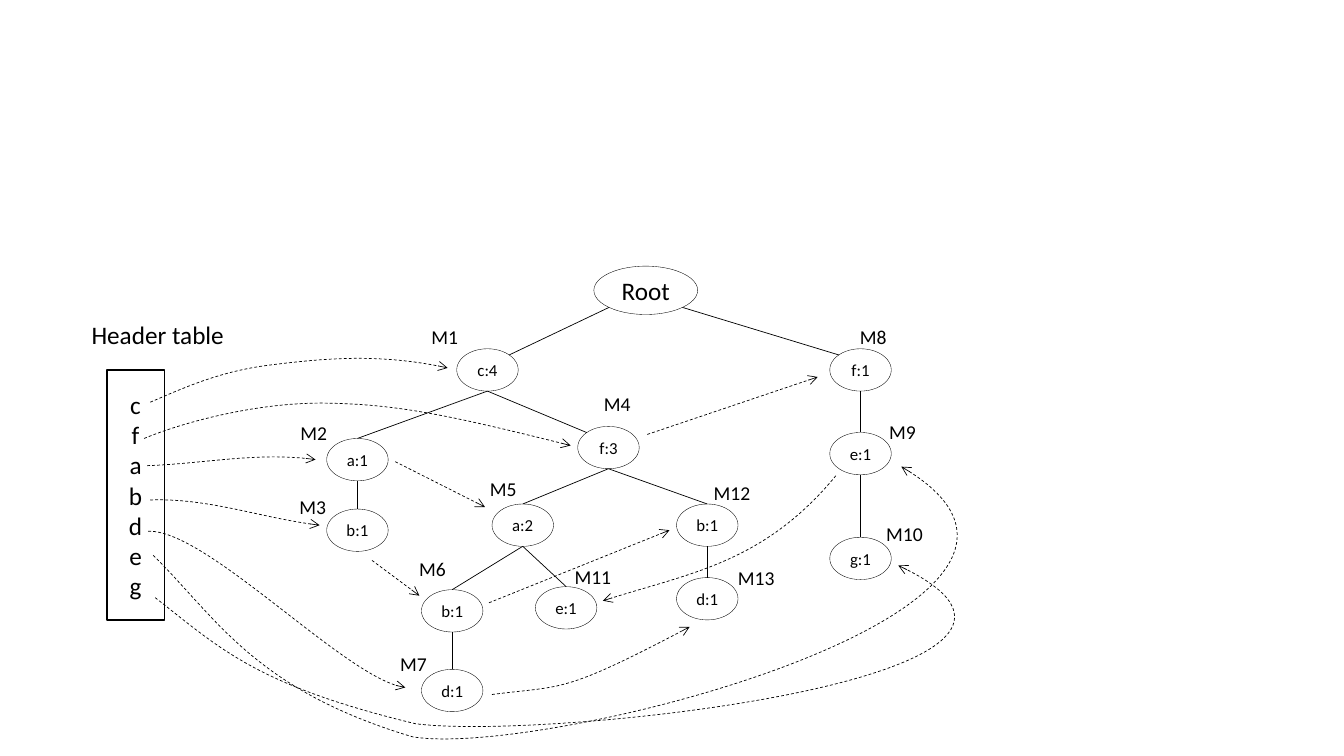
from math import cos, radians, sin

from lxml import etree
from pptx import Presentation
from pptx.dml.color import RGBColor
from pptx.enum.dml import MSO_LINE
from pptx.enum.shapes import MSO_CONNECTOR, MSO_SHAPE
from pptx.enum.text import MSO_ANCHOR, MSO_AUTO_SIZE, PP_ALIGN
from pptx.oxml.ns import qn
from pptx.util import Inches, Pt

ELLIPSE, RECTANGLE = MSO_SHAPE.OVAL, MSO_SHAPE.RECTANGLE
STRAIGHT, DASH = MSO_CONNECTOR.STRAIGHT, MSO_LINE.DASH
MIDDLE, CENTER, LEFT = MSO_ANCHOR.MIDDLE, PP_ALIGN.CENTER, PP_ALIGN.LEFT
FIT_SHAPE = MSO_AUTO_SIZE.SHAPE_TO_FIT_TEXT

COLORS = {"ink": "000000", "paper": "FFFFFF"}
FONT = "Calibri"
NODE_W, NODE_H = 0.61, 0.42
ROOT = (5.89, 2.64, 1.03, 0.48)
HEADER_ITEMS = "cfabdeg"

# Label: item and count, node left and top, label left and top
NODES = {
    "M1": ("c:4", 4.53, 3.46, 4.18, 3.17),
    "M2": ("a:1", 3.24, 4.35, 2.88, 4.13),
    "M3": ("b:1", 3.24, 5.05, 2.87, 4.86),
    "M4": ("f:3", 5.73, 4.23, 5.89, 3.84),
    "M5": ("a:2", 4.88, 5.00, 4.76, 4.68),
    "M6": ("b:1", 4.18, 5.85, 4.06, 5.48),
    "M7": ("d:1", 4.18, 6.64, 3.87, 6.42),
    "M8": ("f:1", 8.23, 3.46, 8.43, 3.17),
    "M9": ("e:1", 8.23, 4.29, 8.72, 4.12),
    "M10": ("g:1", 8.23, 5.33, 8.69, 5.13),
    "M11": ("e:1", 5.31, 5.82, 5.60, 5.56),
    "M12": ("b:1", 6.71, 5.00, 6.98, 4.72),
    "M13": ("d:1", 6.71, 5.73, 7.22, 5.57),
}

# Parent, child, and the angles (clockwise from the right) where the edge meets them
BOTTOM, TOP = 90, 270
EDGES = [
    ("Root", "M1", 135, 315), ("Root", "M8", 45, 225),
    ("M1", "M2", BOTTOM, TOP), ("M1", "M4", BOTTOM, 225),
    ("M2", "M3", BOTTOM, TOP), ("M4", "M5", BOTTOM, TOP),
    ("M4", "M12", BOTTOM, TOP), ("M5", "M6", BOTTOM, TOP),
    ("M5", "M11", BOTTOM, TOP), ("M6", "M7", BOTTOM, TOP),
    ("M12", "M13", BOTTOM, TOP), ("M8", "M9", BOTTOM, TOP),
    ("M9", "M10", BOTTOM, TOP),
]

# Two points make a straight link; otherwise a start and triples of Bezier points
LINKS = [
    [(1.49, 3.99), (1.84, 3.84), (2.19, 3.68), (2.69, 3.62),
     (3.18, 3.56), (3.76, 3.5), (4.44, 3.65)],
    [(1.43, 4.35), (1.79, 4.2), (2.53, 3.99), (3.23, 4),
     (3.93, 4.01), (4.46, 4.12), (5.66, 4.42)],
    [(6.42, 4.31), (8.11, 3.74)],
    [(1.46, 4.62), (2.02, 4.6), (2.56, 4.48), (3.13, 4.56)],
    [(3.69, 5.56), (4.16, 5.91)],
    [(1.49, 4.96), (2.05, 4.94), (2.59, 5.14), (3.17, 5.21)],
    [(3.92, 4.58), (4.81, 5.03)],
    [(4.85, 5.98), (6.64, 5.26)],
    [(1.47, 5.27), (2.03, 5.25), (3.45, 6.75), (4.02, 6.82)],
    [(4.88, 6.89), (5.58, 6.8), (5.57, 6.89), (6.84, 6.22)],
    [(1.52, 5.51), (2.15, 6.13), (2.52, 6.84), (4.09, 7.31),
     (5.38, 7.53), (11.31, 6.01), (8.94, 4.63)],
    [(8.29, 4.72), (7.59, 5.57), (6.82, 5.69), (5.98, 5.96)],
    [(1.54, 5.93), (2.18, 6.43), (2.54, 6.8), (4.12, 7.18),
     (5.41, 7.35), (11.28, 6.72), (8.91, 5.61)],
]


def rgb(name):
    return RGBColor.from_string(COLORS[name])


def write(tf, lines, size, align, frame_format):
    for name, value in frame_format.items():
        setattr(tf, name, value)
    for i, line in enumerate(lines):
        p = tf.paragraphs[0] if i == 0 else tf.add_paragraph()
        p.alignment = align
        r = p.add_run()
        r.text = line
        for name, value in {"name": FONT, "size": Pt(size)}.items():
            setattr(r.font, name, value)
        r.font.color.rgb = rgb("ink")


def set_line(sp, width):
    sp.line.color.rgb = rgb("ink")
    sp.line.width = Pt(width)


def add_box(s, kind, box, lines, size, line_width):
    sp = s.shapes.add_shape(kind, *map(Inches, box))
    sp.shadow.inherit = False
    sp.fill.solid()
    sp.fill.fore_color.rgb = rgb("paper")
    set_line(sp, line_width)
    write(sp.text_frame, lines, size, CENTER, {
        "vertical_anchor": MIDDLE, "word_wrap": True,
        "margin_left": 0, "margin_right": 0, "margin_top": 0, "margin_bottom": 0})


def add_label(s, box, text, size):
    sp = s.shapes.add_textbox(*map(Inches, box))
    write(sp.text_frame, [text], size, LEFT,
          {"word_wrap": False, "auto_size": FIT_SHAPE})


def ellipse_point(box, angle):
    x, y, w, h = box
    a = radians(angle)
    return Inches(x + w / 2 * (1 + cos(a))), Inches(y + h / 2 * (1 + sin(a)))


def add_edge(s, start, end):
    line = s.shapes.add_connector(STRAIGHT, *start, *end)
    set_line(line, 0.5)
    etree.SubElement(line._element.spPr, qn("a:effectLst"))


def bezier_point(curve, t):
    weights = ((1 - t) ** 3, 3 * t * (1 - t) ** 2, 3 * t * t * (1 - t), t ** 3)
    return tuple(round(sum(w * c for w, c in zip(weights, axis))) for axis in zip(*curve))


def add_link(s, points):
    points = [(Inches(x), Inches(y)) for x, y in points]
    curves = [points[i:i + 4] for i in range(0, len(points) - 3, 3)]
    # Points along the curves give the shape its exact bounds
    outline = [bezier_point(c, k / 40) for c in curves for k in range(1, 41)] or points[1:]
    builder = s.shapes.build_freeform(*points[0])
    builder.add_line_segments(outline, close=False)
    sp = builder.convert_to_shape()
    sp.shadow.inherit = False
    sp.fill.background()
    set_line(sp, 0.5)
    sp.line.dash_style = DASH
    etree.SubElement(sp.line._ln, qn("a:tailEnd"), type="arrow")
    # Real Bezier segments take the place of the short steps
    if curves:
        route = sp._element.find(".//" + qn("a:path"))
        for step in route.findall(qn("a:lnTo")):
            route.remove(step)
        for curve in curves:
            segment = etree.SubElement(route, qn("a:cubicBezTo"))
            for x, y in curve[1:]:
                etree.SubElement(segment, qn("a:pt"), x=str(x - sp.left), y=str(y - sp.top))


def main():
    prs = Presentation()
    prs.slide_width, prs.slide_height = Inches(13.33), Inches(7.5)
    s = prs.slides.add_slide(prs.slide_layouts[6])

    # Tree
    boxes = {"Root": ROOT}
    add_box(s, ELLIPSE, ROOT, ["Root"], 18, 0.25)
    for name, (text, x, y, _, _) in NODES.items():
        boxes[name] = (x, y, NODE_W, NODE_H)
        add_box(s, ELLIPSE, boxes[name], [text], 12, 0.25)
    for parent, child, leave, arrive in EDGES:
        add_edge(s, ellipse_point(boxes[parent], leave), ellipse_point(boxes[child], arrive))

    # Header table
    add_box(s, RECTANGLE, (1.06, 3.67, 0.57, 2.48), HEADER_ITEMS, 18, 1)
    add_label(s, (0.81, 3.12, 1.53, 0.4), "Header table", 18)

    # Node links
    for points in LINKS:
        add_link(s, points)

    # Node labels
    for name, (_, _, _, x, y) in NODES.items():
        add_label(s, (x, y, 0.27 + 0.1 * len(name), 0.34), name, 14)

    prs.save("out.pptx")


if __name__ == "__main__":
    main()
